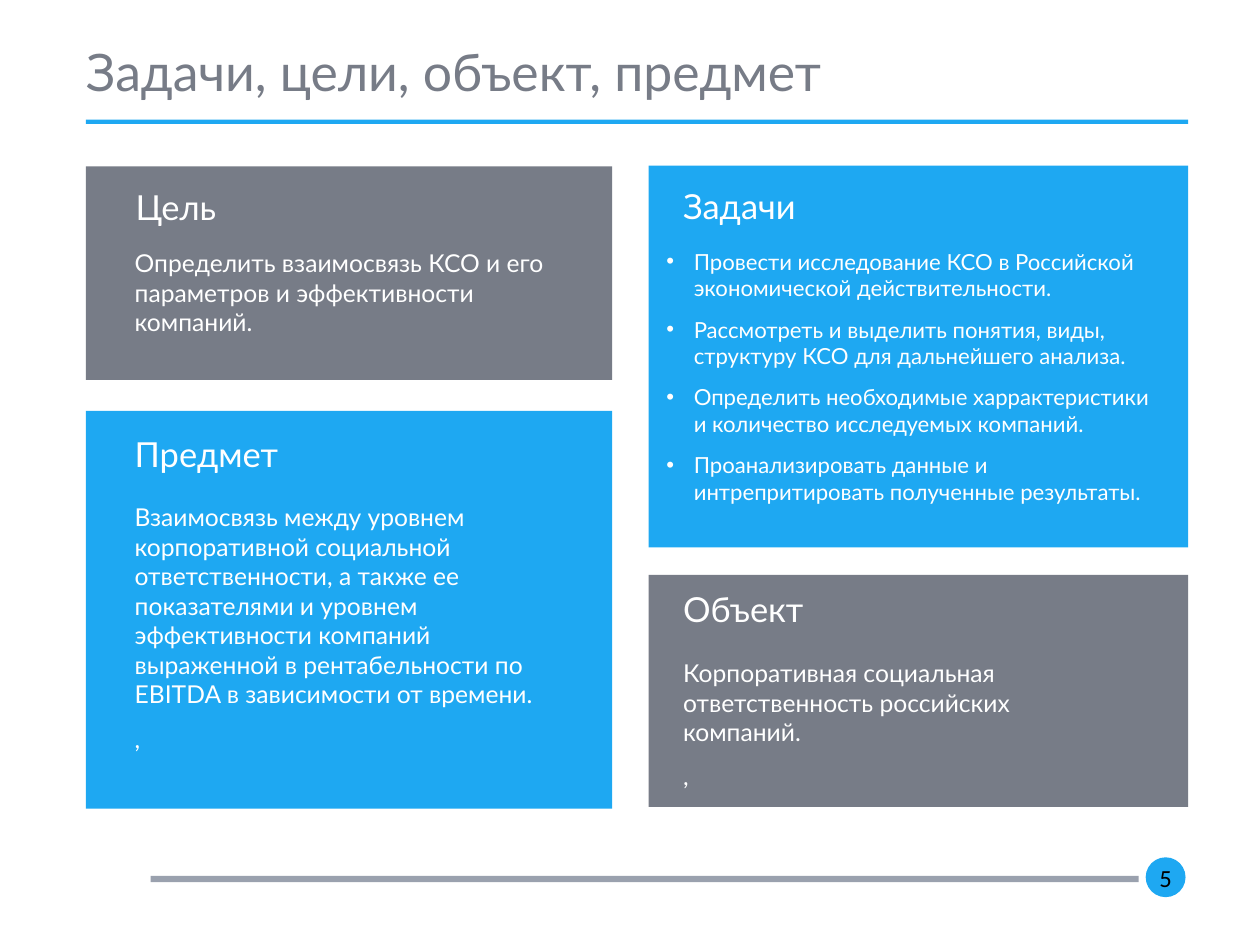
"""Build the slide on goals, tasks, object and subject of the study."""
import pptx
import pptx.dml.color
import pptx.enum.shapes
import pptx.enum.text
import pptx.oxml
import pptx.oxml.ns
import pptx.util

PX = 9144
COLORS = {"blue": "1EA8F2", "gray": "777C87", "rule": "9AA1AE", "white": "FFFFFF", "black": "000000"}
SHAPES = pptx.enum.shapes.MSO_SHAPE
ALIGN = pptx.enum.text.PP_ALIGN
ANCHOR = pptx.enum.text.MSO_ANCHOR

PANELS = [
    (732, 187, 609, 431, "blue"),
    (97, 188, 594, 241, "gray"),
    (97, 464, 594, 449, "blue"),
    (732, 649, 609, 262, "gray"),
]
HEADINGS = [
    (771, 209, "Задачи"),
    (153, 210, "Цель"),
    (152, 489, "Предмет"),
    (771, 664, "Объект"),
]
TEXTS = [
    ((152, 280, 462, 94), ["Определить взаимосвязь КСО и его параметров и эффективности компаний."]),
    ((152, 567, 489, 286), [
        "Взаимосвязь между уровнем корпоративной социальной ответственности, а также ее "
        "показателями и уровнем эффективности компаний выраженной в рентабельности по "
        "EBITDA в зависимости от времени.",
        ",",
    ]),
    ((771, 743, 498, 94), ["Корпоративная социальная ответственность российских компаний.", ","]),
]
TASKS = [
    "Провести исследование КСО в Российской экономической действительности.",
    "Рассмотреть и выделить понятия, виды, структуру КСО для дальнейшего анализа.",
    "Определить необходимые харрактеристики и количество исследуемых компаний.",
    "Проанализировать данные и интрепритировать полученные результаты.",
]


def emu(*lengths):
    return [n * PX for n in lengths]


def rgb(name):
    return pptx.dml.color.RGBColor.from_string(COLORS[name])


def place(sp, box):
    sp.left, sp.top, sp.width, sp.height = emu(*box)


def add_block(slide, box, color, kind=SHAPES.RECTANGLE):
    sp = slide.shapes.add_shape(kind, *emu(*box))
    sp.shadow.inherit = False
    sp.fill.solid()
    sp.fill.fore_color.rgb = rgb(color)
    sp.line.fill.background()
    return sp


def write(sp, lines, size, color="white", font="Lato", before=12, align=ALIGN.LEFT, anchor=ANCHOR.TOP):
    tf = sp.text_frame
    tf.text = "\n".join(lines)
    tf.word_wrap = True
    tf.auto_size = pptx.enum.text.MSO_AUTO_SIZE.NONE
    tf.vertical_anchor = anchor
    tf.margin_left = tf.margin_top = tf.margin_right = tf.margin_bottom = 0
    for p in tf.paragraphs:
        p.alignment = align
        p.space_before = pptx.util.Pt(before)
        for r in p.runs:
            r.font.size = pptx.util.Pt(size)
            r.font.name = font
            r.font.color.rgb = rgb(color)


def add_text(slide, box, lines, size):
    sp = slide.shapes.add_textbox(*emu(*box))
    write(sp, lines, size)
    for p in sp.text_frame.paragraphs[1:]:
        p.alignment = ALIGN.JUSTIFY


def add_bullets(sp, indent):
    ns = pptx.oxml.ns.nsdecls("a")
    for p in sp.text_frame.paragraphs:
        pPr = p._p.get_or_add_pPr()
        pPr.set("marL", str(indent * PX))
        pPr.set("indent", str(-indent * PX))
        pPr.append(pptx.oxml.parse_xml(f'<a:buFont {ns} typeface="Arial"/>'))
        pPr.append(pptx.oxml.parse_xml(f'<a:buChar {ns} char="•"/>'))


def main():
    prs = pptx.Presentation()
    prs.slide_width, prs.slide_height = emu(1422, 1067)
    slide = prs.slides.add_slide(prs.slide_layouts[1])
    for *box, color in PANELS:
        add_block(slide, box, color)

    title = slide.shapes.title
    place(title, (97, 40, 891, 81))
    write(title, ["Задачи, цели, объект, предмет"], 42, "gray", before=0, anchor=ANCHOR.MIDDLE)
    add_block(slide, (97, 135, 1244, 5), "blue")

    body = slide.placeholders[1]
    place(body, (752, 280, 546, 232))
    write(body, TASKS, 18)
    add_bullets(body, 31)
    slide.shapes._spTree.extend([title._element, body._element])

    for left, top, heading in HEADINGS:
        add_text(slide, (left, top, 408, 31), [heading], 28)
    for box, lines in TEXTS:
        add_text(slide, box, lines, 20)

    add_block(slide, (170, 989, 1115, 7), "rule")
    badge = add_block(slide, (1293, 968, 45, 45), "blue", SHAPES.OVAL)
    write(badge, ["5"], 20, "black", "Calibri", before=0, align=ALIGN.CENTER)
    badge.text_frame.vertical_anchor = ANCHOR.MIDDLE
    prs.save("out.pptx")


if __name__ == "__main__":
    main()
